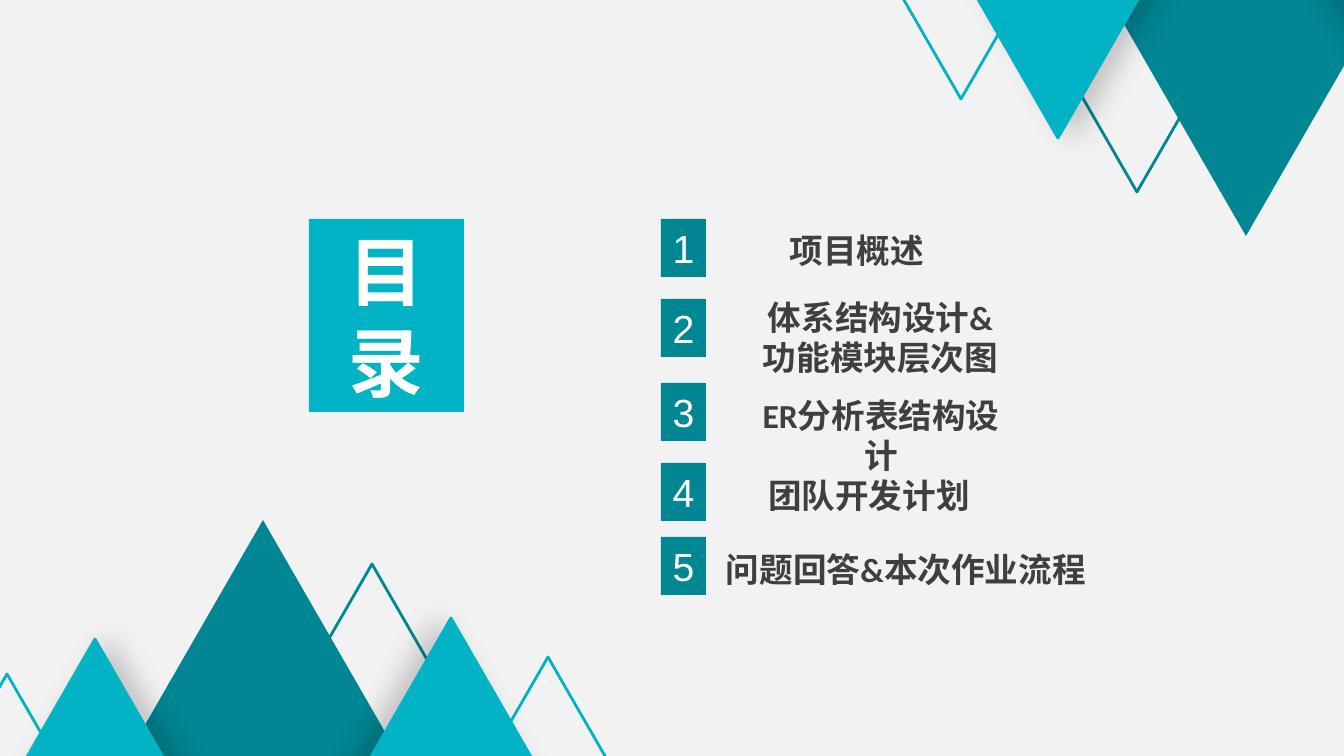
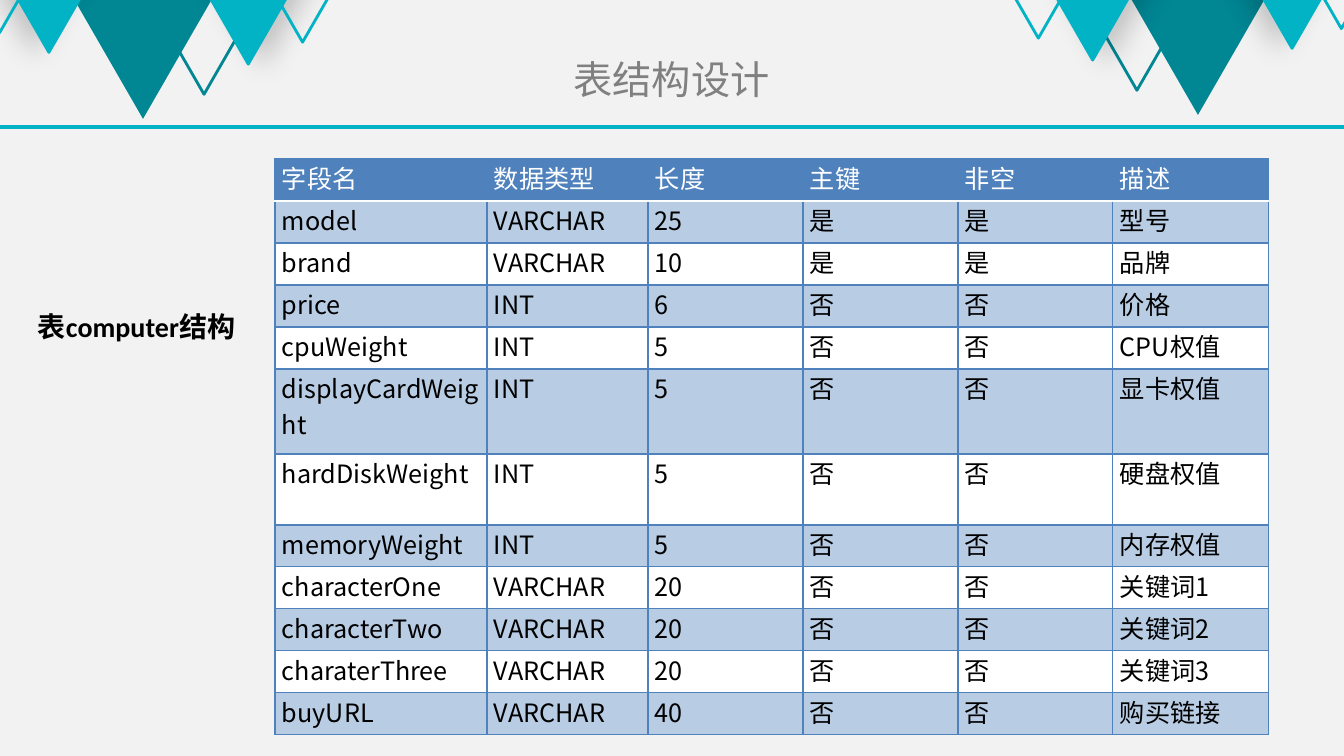
from dataclasses import dataclass
from typing import Any

from lxml.etree import SubElement
from pptx import Presentation
from pptx.dml.color import RGBColor
from pptx.enum.shapes import MSO_CONNECTOR, MSO_SHAPE
from pptx.enum.text import MSO_ANCHOR, PP_ALIGN
from pptx.oxml import parse_xml
from pptx.oxml.ns import nsdecls, qn
from pptx.util import Pt

PX = 914400 / 100.8
WIDE, HIGH = 1344, 756
COLORS = {
    "back": "F2F2F2", "deep": "018694", "light": "01B3C5", "white": "FFFFFF",
    "dark": "3F3F3F", "gray": "808080", "black": "000000",
    "blue": "4F81BD", "band": "B8CCE4",
}
SANS, BODY, CJK = "Arial", "Calibri", "Noto Sans CJK SC"
LEFT, MID = PP_ALIGN.LEFT, PP_ALIGN.CENTER
RATIO = 0.868


@dataclass(frozen=True)
class Peak:
    """A triangle, its tip measured from the tip of the main peak."""
    dx: int
    dy: int
    width: int
    color: str
    solid: bool = False
    edge: bool = True
    cast: int = 0  # shadow side: 1 left, -1 right for a range that points up


@dataclass(frozen=True)
class Style:
    font: str
    size: int
    color: str
    bold: bool = False
    align: Any = MID


@dataclass(frozen=True)
class Item:
    """A numbered entry: top of its badge, then its text box."""
    top: int
    x: int
    y: int
    width: int
    text: str
    height: int = 50
    align: Any = MID


PEAKS = [
    Peak(0, 0, 572, "deep", solid=True, edge=False),
    Peak(109, 44, 521, "deep"),
    Peak(188, 98, 510, "light", solid=True, cast=1),
    Peak(285, 137, 465, "light"),
    Peak(-168, 119, 462, "light", solid=True, cast=-1),
    Peak(-256, 154, 420, "light"),
]
ITEMS = [
    Item(219, 777, 225, 160, "项目概述"),
    Item(299, 632, 292, 497, "体系结构设计&\n功能模块层次图", height=92),
    Item(383, 736, 390, 290, "ER分析表结构设计"),
    Item(463, 754, 470, 230, "团队开发计划"),
    Item(537, 716, 544, 391, "问题回答&本次作业流程", align=LEFT),
]
WIDTHS = [212, 161, 155, 155, 155, 156]
ROW, TALL = 42, {5: 85, 6: 71}
ROWS = [
    ("字段名", "数据类型", "长度", "主键", "非空", "描述"),
    ("model", "VARCHAR", "25", "是", "是", "型号"),
    ("brand", "VARCHAR", "10", "是", "是", "品牌"),
    ("price", "INT", "6", "否", "否", "价格"),
    ("cpuWeight", "INT", "5", "否", "否", "CPU权值"),
    ("displayCardWeight", "INT", "5", "否", "否", "显卡权值"),
    ("hardDiskWeight", "INT", "5", "否", "否", "硬盘权值"),
    ("memoryWeight", "INT", "5", "否", "否", "内存权值"),
    ("characterOne", "VARCHAR", "20", "否", "否", "关键词1"),
    ("characterTwo", "VARCHAR", "20", "否", "否", "关键词2"),
    ("charaterThree", "VARCHAR", "20", "否", "否", "关键词3"),
    ("buyURL", "VARCHAR", "40", "否", "否", "购买链接"),
]


def emu(*sizes: float) -> list[int]:
    return [round(size * PX) for size in sizes]


def rgb(name: str) -> RGBColor:
    return RGBColor.from_string(COLORS[name])


def paint(part: Any, color: str) -> None:
    part.fill.solid()
    part.fill.fore_color.rgb = rgb(color)


def write(frame: Any, text: str, style: Style) -> None:
    frame.text = text
    for para in frame.paragraphs:
        para.alignment = style.align
        font = para.font
        font.name, font.size, font.bold = style.font, Pt(style.size), style.bold
        font.color.rgb = rgb(style.color)


def add_text(slide: Any, box: tuple[int, ...], text: str, style: Style,
             pad: bool = True) -> None:
    frame = slide.shapes.add_textbox(*emu(*box)).text_frame
    frame.word_wrap = True
    if not pad:
        frame.margin_left = frame.margin_right = 0
        frame.margin_top = frame.margin_bottom = 0
    write(frame, text, style)


def add_tile(slide: Any, box: tuple[int, ...], fill: str, text: str,
             style: Style) -> None:
    tile = slide.shapes.add_shape(MSO_SHAPE.RECTANGLE, *emu(*box))
    tile.shadow.inherit = False
    paint(tile, fill)
    tile.line.fill.background()
    tile.text_frame.vertical_anchor = MSO_ANCHOR.MIDDLE
    write(tile.text_frame, text, style)


def add_shade(shape: Any, angle: int) -> None:
    """Cast a soft shadow towards an angle in degrees."""
    shape.element.spPr.find(qn("a:effectLst")).append(parse_xml(
        f'<a:outerShdw {nsdecls("a")} blurRad="{Pt(20)}" dist="{Pt(10)}" '
        f'dir="{angle * 60000}" algn="ctr" rotWithShape="0">'
        f'<a:srgbClr val="{COLORS["black"]}"><a:alpha val="20000"/></a:srgbClr>'
        '</a:outerShdw>'))


def add_range(slide: Any, x: int, y: int, scale: float = 1,
              up: bool = False, flip: bool = False) -> None:
    """Draw a range of peaks with its main tip at x, y."""
    group = slide.shapes.add_group_shape()
    for peak in PEAKS:
        width = peak.width * scale
        height = width * RATIO
        tip = x + peak.dx * scale * (-1 if flip else 1)
        top = y + peak.dy * scale if up else y - peak.dy * scale - height
        shape = group.shapes.add_shape(
            MSO_SHAPE.ISOSCELES_TRIANGLE,
            *emu(tip - width / 2, top, width, height))
        shape.shadow.inherit = False
        if not up:
            shape.element.spPr.xfrm.set("flipV", "1")
        if peak.solid:
            paint(shape, peak.color)
        else:
            shape.fill.background()
        if peak.edge:
            shape.line.color.rgb = rgb(peak.color)
            shape.line.width = Pt(2)
        else:
            shape.line.fill.background()
        if peak.cast:
            add_shade(shape, 180 if (peak.cast == 1) == up else 0)


def add_rule(slide: Any, y: int) -> None:
    rule = slide.shapes.add_connector(
        MSO_CONNECTOR.STRAIGHT, *emu(0, y, WIDE, y))
    rule.line.color.rgb = rgb("light")
    rule.line.width = Pt(3)
    SubElement(rule.element.spPr, qn("a:effectLst"))


def add_edge(cell: Any, side: str, color: str, width: float) -> None:
    cell._tc.get_or_add_tcPr().append(parse_xml(
        f'<a:ln{side} {nsdecls("a")} w="{Pt(width)}"><a:solidFill>'
        f'<a:srgbClr val="{COLORS[color]}"/></a:solidFill></a:ln{side}>'))


def add_grid(slide: Any, x: int, y: int) -> None:
    highs = [TALL.get(i, ROW) for i in range(len(ROWS))]
    grid = slide.shapes.add_table(
        len(ROWS), len(WIDTHS), *emu(x, y, sum(WIDTHS), sum(highs))).table
    grid.first_row = grid.horz_banding = False
    for col, width in zip(grid.columns, emu(*WIDTHS)):
        col.width = width
    for i, (row, high) in enumerate(zip(grid.rows, emu(*highs))):
        row.height = high
        fill = "blue" if i == 0 else "band" if i % 2 else "white"
        style = Style(CJK, 18, "black" if i else "white", align=LEFT)
        for cell, text in zip(row.cells, ROWS[i]):
            cell.margin_left = cell.margin_right = emu(7)[0]
            cell.margin_top = cell.margin_bottom = 0
            for side in "LRTB":
                seam = (i, side) in ((0, "B"), (1, "T"))
                add_edge(cell, side, *(("white", 2.25) if seam else ("blue", 1)))
            paint(cell, fill)
            write(cell.text_frame, text, style)


def new_slide(deck: Any) -> Any:
    slide = deck.slides.add_slide(deck.slide_layouts[6])
    paint(slide.background, "back")
    return slide


def add_index(deck: Any) -> None:
    slide = new_slide(deck)
    add_range(slide, 263, 520, up=True)
    add_range(slide, 1246, 236, flip=True)
    add_tile(slide, (309, 219, 155, 193), "light", "目\n录",
             Style(SANS, 54, "white", bold=True))
    for num, item in enumerate(ITEMS, 1):
        add_tile(slide, (661, item.top, 45, 58), "deep", str(num),
                 Style(SANS, 28, "white"))
        add_text(slide, (item.x, item.y, item.width, item.height), item.text,
                 Style(BODY, 24, "dark", bold=True, align=item.align))


def add_schema(deck: Any) -> None:
    slide = new_slide(deck)
    add_rule(slide, 127)
    add_range(slide, 1198, 115, scale=0.56, flip=True)
    add_range(slide, 143, 119, scale=0.56)
    add_text(slide, (482, 55, 379, 47), "表结构设计",
             Style(SANS, 28, "gray"), pad=False)
    add_grid(slide, 275, 159)
    add_text(slide, (28, 305, 220, 44), "表computer结构",
             Style(BODY, 20, "black", bold=True, align=LEFT))


def main() -> None:
    deck = Presentation()
    deck.slide_width, deck.slide_height = emu(WIDE, HIGH)
    add_index(deck)
    add_schema(deck)
    deck.save("out.pptx")


if __name__ == "__main__":
    main()
